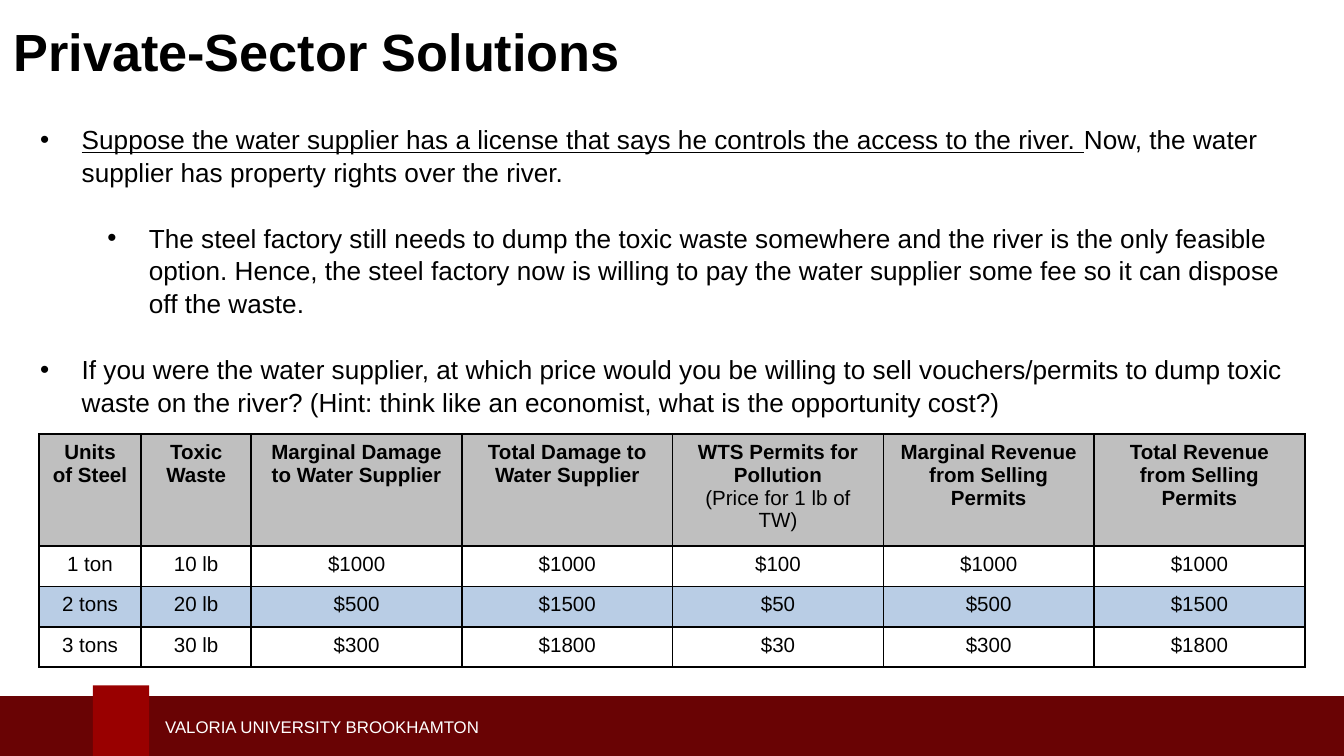
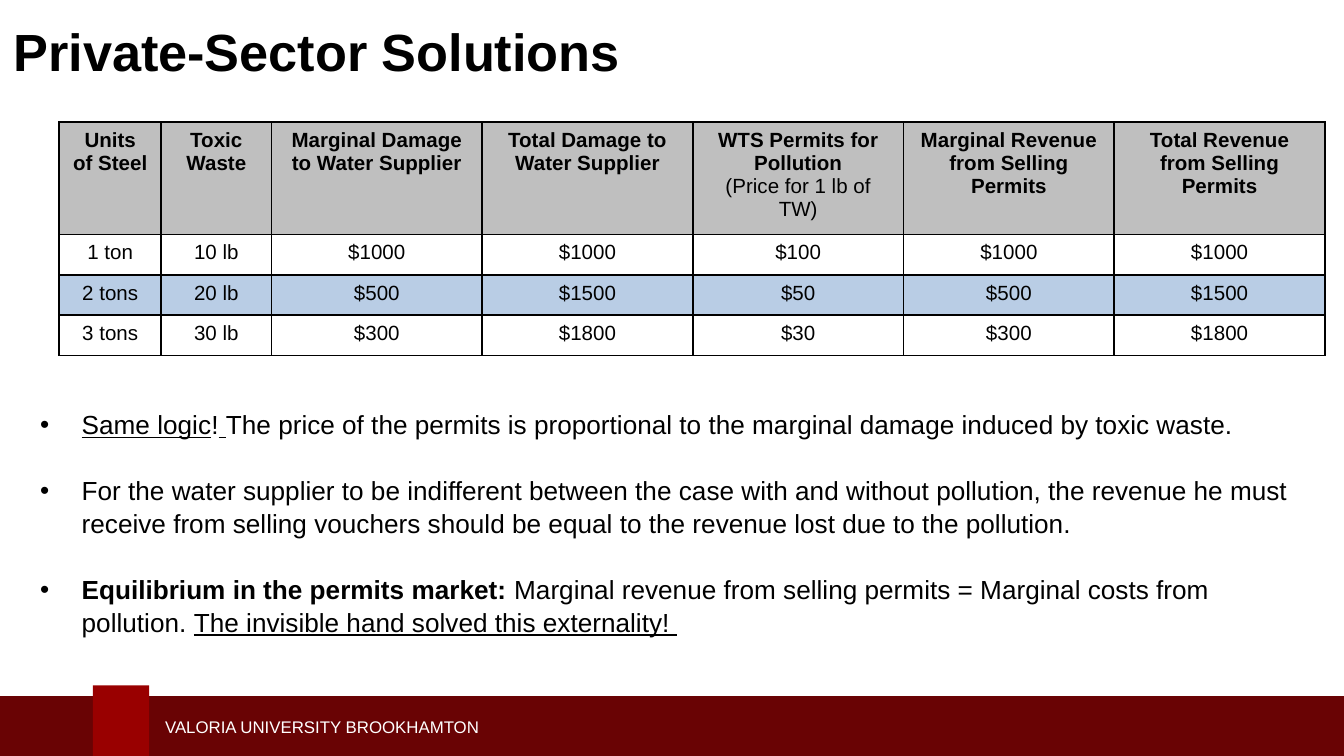
"""Build two slides on permits sold by a water supplier."""
from typing import Any, NamedTuple

import pptx
import pptx.dml.color
import pptx.enum.shapes
import pptx.enum.text
import pptx.oxml
import pptx.oxml.ns
import pptx.util

WIDE, HIGH = pptx.util.Inches(10), pptx.util.Inches(5.625)
UNIT = WIDE / 100
FONT = "Arial"
BLACK, WHITE, GREY, BLUE = "000000", "FFFFFF", "BFBFBF", "B9CDE5"
DARK, RED = "690304", "990000"
TITLE = "Private-Sector Solutions"
SCHOOL = "VALORIA UNIVERSITY BROOKHAMTON"
COLS = [7.6, 8.2] + [15.68] * 5
ROWS = [8.3, 3, 3, 3]
FILLS = [GREY, None, BLUE, None]
LEFT, MID = pptx.enum.text.PP_ALIGN.LEFT, pptx.enum.text.PP_ALIGN.CENTER
TOP, CORE = pptx.enum.text.MSO_ANCHOR.TOP, pptx.enum.text.MSO_ANCHOR.MIDDLE


class Box(NamedTuple):
    left: float
    top: float
    wide: float
    high: float


class Run(NamedTuple):
    text: str
    bold: bool = False
    under: bool = False


class Line(NamedTuple):
    runs: list[Run]
    level: int = 0


class Band(NamedTuple):
    box: Box
    fill: str


class Page(NamedTuple):
    body: Box
    lines: list[Line]
    grid: Box


BANDS = [
    Band(Box(0, 51.8, 100, 4.45), DARK),
    Band(Box(6.9, 51, 4.2, 5.25), RED),
]

HEADS = [
    "Units of Steel", "Toxic Waste", "Marginal Damage to Water Supplier",
    "Total Damage to Water Supplier", "WTS Permits for Pollution",
    "Marginal Revenue from Selling Permits", "Total Revenue from Selling Permits",
]
DATA = [
    ["1 ton", "10 lb", "$1000", "$1000", "$100", "$1000", "$1000"],
    ["2 tons", "20 lb", "$500", "$1500", "$50", "$500", "$1500"],
    ["3 tons", "30 lb", "$300", "$1800", "$30", "$300", "$1800"],
]
CELLS = [[[Line([Run(head, bold=True)])] for head in HEADS]]
CELLS += [[[Line([Run(item)])] for item in row] for row in DATA]
CELLS[0][4].append(Line([Run("(Price for 1 lb of TW)")]))

PAGES = [
    Page(Box(2, 8.6, 96, 22.6), [
        Line([
            Run("Suppose the water supplier has a license that says he controls "
                "the access to the river. ", under=True),
            Run("Now, the water supplier has property rights over the river."),
        ]),
        Line([Run("The steel factory still needs to dump the toxic waste somewhere "
                  "and the river is the only feasible option. Hence, the steel factory "
                  "now is willing to pay the water supplier some fee so it can dispose "
                  "off the waste.")], level=1),
        Line([Run("If you were the water supplier, at which price would you be willing "
                  "to sell vouchers/permits to dump toxic waste on the river? (Hint: "
                  "think like an economist, what is the opportunity cost?)")]),
    ], Box(2.9, 32.3, 94.2, 17.3)),
    Page(Box(2, 29.8, 96, 17.8), [
        Line([
            Run("Same logic", under=True), Run("!"), Run(" ", under=True),
            Run("The price of the permits is proportional to the marginal damage "
                "induced by toxic waste."),
        ]),
        Line([Run("For the water supplier to be indifferent between the case with and "
                  "without pollution, the revenue he must receive from selling vouchers "
                  "should be equal to the revenue lost due to the pollution.")]),
        Line([
            Run("Equilibrium in the permits market: ", bold=True),
            Run("Marginal revenue from selling permits = Marginal costs from pollution. "),
            Run("The invisible hand solved this externality! ", under=True),
        ]),
    ], Box(4.4, 9.1, 94.2, 17.3)),
]


def size(num: float) -> int:
    """Turn grid units into a length."""
    return round(num * UNIT)


def span(box: Box) -> list[int]:
    """Give the four lengths of a box."""
    return [size(num) for num in box]


def tint(code: str) -> pptx.dml.color.RGBColor:
    """Turn a hex string into a colour."""
    return pptx.dml.color.RGBColor.from_string(code)


def dot(para: Any, level: int) -> None:
    """Give a paragraph a bullet and a hanging indent."""
    para.level = level
    para.space_before, para.space_after = pptx.util.Pt(12), pptx.util.Pt(6)
    props = para._p.get_or_add_pPr()
    props.set("marL", str(size(3.1 + 5 * level)))
    props.set("indent", str(size(-3.1)))
    space = pptx.oxml.ns.nsdecls("a")
    props.append(pptx.oxml.parse_xml(f'<a:buFont {space} typeface="{FONT}"/>'))
    props.append(pptx.oxml.parse_xml(f'<a:buChar {space} char="•"/>'))


def write(frame: Any, lines: list[Line], *, points: float, color: str = BLACK,
          align: Any = LEFT, anchor: Any = TOP, dots: bool = False,
          space: float | None = None) -> None:
    """Fill a text frame with formatted lines."""
    frame.word_wrap = True
    frame.vertical_anchor = anchor
    for spot, line in enumerate(lines):
        para = frame.add_paragraph() if spot else frame.paragraphs[0]
        para.alignment = align
        para.line_spacing = space
        if dots:
            dot(para, line.level)
        for part in line.runs:
            run = para.add_run()
            run.text = part.text
            font = run.font
            font.name, font.size = FONT, pptx.util.Pt(points)
            font.bold, font.underline = part.bold, part.under
            font.color.rgb = tint(color)


def edge(cell: Any) -> None:
    """Draw black lines on the four sides of a cell."""
    props = cell._tc.get_or_add_tcPr()
    space = pptx.oxml.ns.nsdecls("a")
    for side in "LRTB":
        props.append(pptx.oxml.parse_xml(
            f'<a:ln{side} {space} w="12700"><a:solidFill>'
            f'<a:srgbClr val="{BLACK}"/></a:solidFill></a:ln{side}>'))


def chart(slide: Any, box: Box) -> None:
    """Add the table of damage and revenue."""
    table = slide.shapes.add_table(len(ROWS), len(COLS), *span(box)).table
    for col, wide in zip(table.columns, COLS):
        col.width = size(wide)
    for row, high, fill, texts in zip(table.rows, ROWS, FILLS, CELLS):
        row.height = size(high)
        for cell, lines in zip(row.cells, texts):
            edge(cell)
            if fill:
                cell.fill.solid()
                cell.fill.fore_color.rgb = tint(fill)
            else:
                cell.fill.background()
            write(cell.text_frame, lines, points=11, align=MID)


def foot(slide: Any) -> None:
    """Add the bands and the school name at the bottom."""
    for band in BANDS:
        shape = slide.shapes.add_shape(
            pptx.enum.shapes.MSO_SHAPE.RECTANGLE, *span(band.box))
        shape.shadow.inherit = False
        shape.fill.solid()
        shape.fill.fore_color.rgb = tint(band.fill)
        shape.line.fill.background()
    label = slide.shapes.add_textbox(*span(Box(11.3, 52.8, 39.5, 2.5)))
    write(label.text_frame, [Line([Run(SCHOOL)])], points=9, color=WHITE, anchor=CORE)


def build(deck: Any, page: Page) -> None:
    """Add one slide."""
    slide = deck.slides.add_slide(deck.slide_layouts[5])
    foot(slide)
    title = slide.shapes.title
    title.left, title.top, title.width, title.height = span(Box(0, 0, 100, 7.6))
    write(title.text_frame, [Line([Run(TITLE, bold=True)])], points=28, anchor=CORE)
    body = slide.shapes.add_textbox(*span(page.body))
    write(body.text_frame, page.lines, points=14, dots=True, space=1.04)
    chart(slide, page.grid)


def main() -> None:
    """Build and save the deck."""
    deck = pptx.Presentation()
    deck.slide_width, deck.slide_height = WIDE, HIGH
    for page in PAGES:
        build(deck, page)
    deck.save("out.pptx")


if __name__ == "__main__":
    main()
